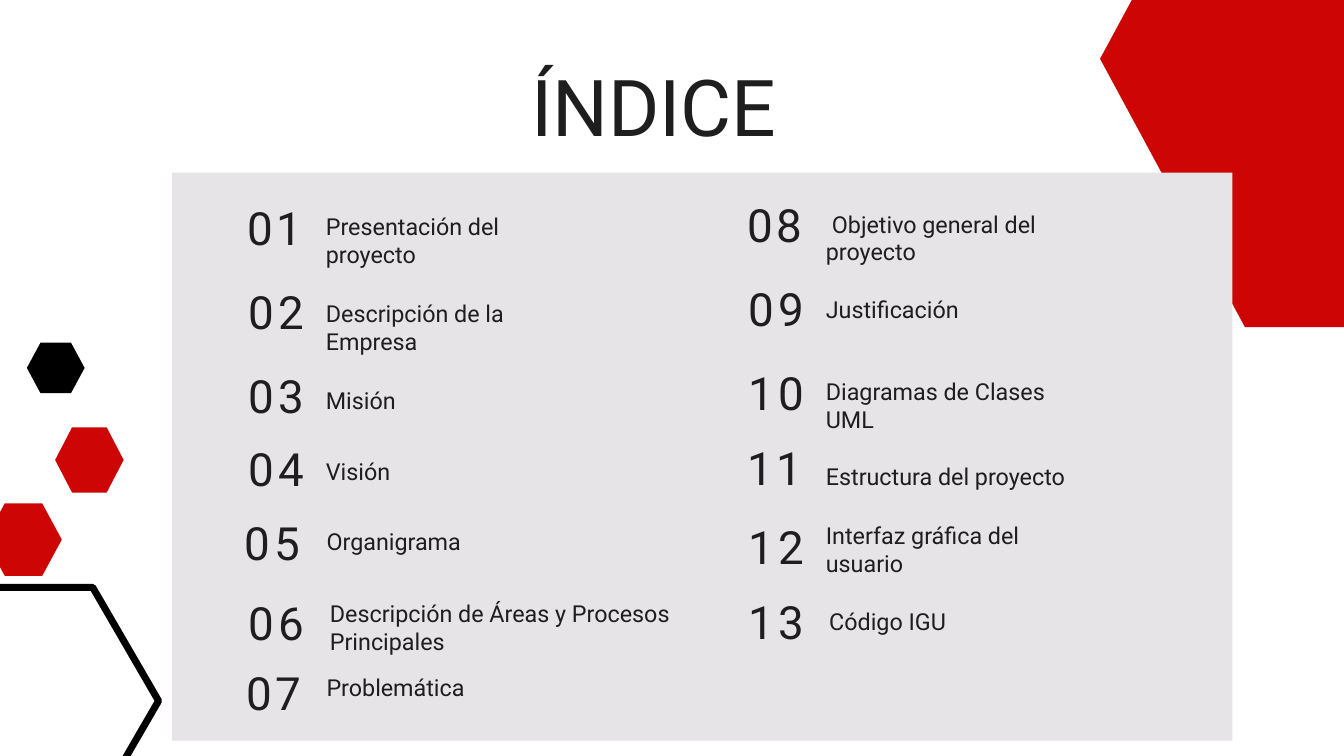
import pptx
import pptx.util
import pptx.dml.color
import pptx.enum.shapes
import pptx.enum.text

Inches = pptx.util.Inches
Pt = pptx.util.Pt
KIND = pptx.enum.shapes.MSO_SHAPE
ALIGN = pptx.enum.text.PP_ALIGN

FONT = "Roboto"
INK, RED, BLACK, GRAY = "1E1E1E", "CD0505", "000000", "E7E4E7"
WIDE, SLIM = 2.14, 1.57
LONG, SHORT = 6, 3.76
RIGHT = 2.14
LABEL = 2.49

# number, its right shift, top, width; label, its left shift, top, width, lines
LEFT_ROWS = [
    ("01", 0, 0.41, WIDE, "Presentación del proyecto", 0, 0.58, SHORT, 2),
    ("02", 0.02, 1.66, WIDE, "Descripción de la Empresa", 0, 1.88, SHORT, 2),
    ("03", 0.02, 2.91, WIDE, "Misión", 0, 3.17, SHORT, 1),
    ("04", 0.02, 3.99, WIDE, "Visión", 0, 4.23, SHORT, 1),
    ("05", -0.04, 5.09, SLIM, "Organigrama", 0.01, 5.28, LONG, 1),
    ("06", 0.02, 6.28, SLIM, "Descripción de Áreas y Procesos Principales",
     0.06, 6.35, LONG, 2),
    ("07", -0.02, 7.32, SLIM, "Problemática", 0.01, 7.45, LONG, 1),
]
RIGHT_ROWS = [
    ("08", 0, 0.36, WIDE, "Objetivo general del proyecto", 0, 0.55, SHORT, 2),
    ("09", 0.02, 1.61, WIDE, "Justificación", 0, 1.82, SHORT, 1),
    ("10", 0.02, 2.86, WIDE, "Diagramas de Clases UML", 0, 3.04, SHORT, 2),
    ("11", 0, 3.97, WIDE, "Estructura del proyecto", 0, 4.31, LONG, 1),
    ("12", 0.02, 5.15, SLIM, "Interfaz gráfica del usuario", 0, 5.19, SHORT, 2),
    ("13", 0.02, 6.27, WIDE, "Código IGU", 0.05, 6.46, LONG, 1),
]


def tint(code):
    """Turn a hex string into a colour."""
    return pptx.dml.color.RGBColor.from_string(code)


def shape(slide, kind, box, fill=None, line=None):
    """Add a flat preset shape in the box, filled or outlined."""
    item = slide.shapes.add_shape(kind, *map(Inches, box))
    item.shadow.inherit = False
    if fill:
        item.fill.solid()
        item.fill.fore_color.rgb = tint(fill)
    else:
        item.fill.background()
    if line:
        item.line.color.rgb = tint(line)
        item.line.width = Pt(7.5)
    else:
        item.line.fill.background()
    return item


def hexa(slide, box, slant, fill=None, line=None):
    """Add a hexagon whose slanted part is a share of its height."""
    shape(slide, KIND.HEXAGON, box, fill, line).adjustments[0] = slant


def text(slide, box, words, size, align=ALIGN.LEFT):
    """Add a text box without margins and return its paragraph."""
    frame = slide.shapes.add_textbox(*map(Inches, box)).text_frame
    frame.word_wrap = True
    frame.margin_left = frame.margin_right = 0
    frame.margin_top = frame.margin_bottom = 0
    para = frame.paragraphs[0]
    para.text = words
    para.alignment = align
    para.line_spacing = Pt(size * 1.2)
    para.font.size = Pt(size)
    para.font.name = FONT
    para.font.color.rgb = tint(INK)
    return para


def entry(slide, left, top, row):
    """Add one number with its label and return the label's paragraph."""
    num, push, high, wide, words, shift, drop, span, lines = row
    box = (left + RIGHT + push - wide, top + high, wide, 0.82)
    mark = text(slide, box, num, 49, ALIGN.RIGHT)
    mark.runs[0].font._element.set("spc", "380")
    box = (left + LABEL + shift, top + drop, span, 0.405 * lines)
    return text(slide, box, words, 25)


def index(slide, box):
    """Add the gray panel with both columns of entries."""
    left, top = box[:2]
    shape(slide, KIND.RECTANGLE, box, GRAY)
    for start, rows in ((-0.2, LEFT_ROWS), (7.24, RIGHT_ROWS)):
        paras = [entry(slide, left + start, top, row) for row in rows]
    paras[0]._p.get_or_add_pPr().set("indent", str(Inches(0.09)))


def decor(slide):
    """Add the small hexagons at the left edge."""
    hexa(slide, (-0.22, 7.49, 1.14, 1.08), 0.27, RED)
    hexa(slide, (0.82, 6.36, 1.02, 0.97), 0.26, RED)
    hexa(slide, (0.4, 5.1, 0.86, 0.75), 0.27, BLACK)


def main():
    """Build the slide and save it."""
    deck = pptx.Presentation()
    deck.slide_width, deck.slide_height = Inches(20), Inches(11.25)
    slide = deck.slides.add_slide(deck.slide_layouts[6])
    hexa(slide, (-1.57, 8.74, 3.93, 3.38), 0.29, line=BLACK)
    hexa(slide, (16.37, -3.12, 9.2, 7.99), 0.27, RED)
    index(slide, (2.56, 2.57, 15.78, 8.45))
    text(slide, (4.56, 0.86, 10.34, 1.41), "ÍNDICE", 84, ALIGN.CENTER)
    decor(slide)
    deck.save("out.pptx")


if __name__ == "__main__":
    main()
